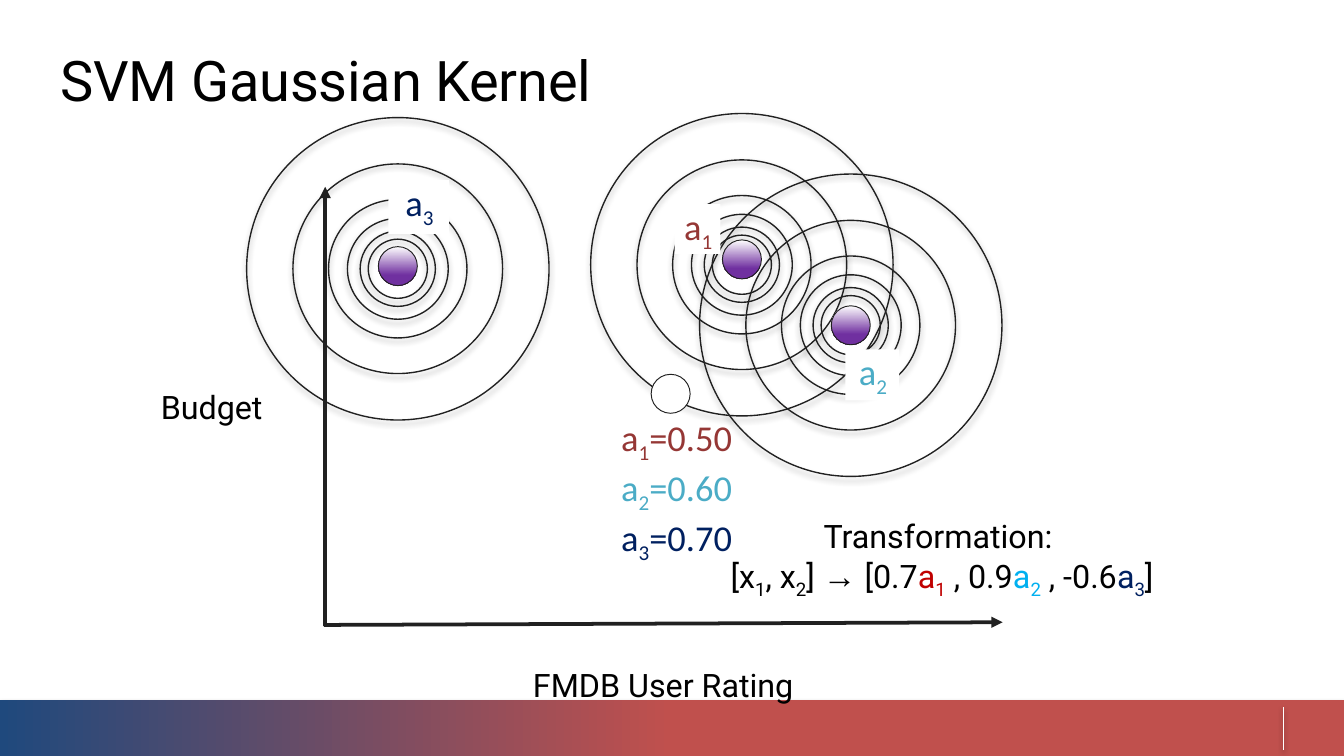
from lxml.etree import SubElement
from pptx import Presentation
from pptx.dml.color import RGBColor
from pptx.enum.shapes import MSO_CONNECTOR as Connector, MSO_SHAPE as Shape
from pptx.enum.text import MSO_ANCHOR as Anchor, PP_ALIGN as Align
from pptx.oxml.ns import qn
from pptx.util import Inches, Pt

BLACK, WHITE, INK, PURPLE = "000000", "FFFFFF", "212121", "7030A0"
RED, TEAL, NAVY = "953735", "4BACC6", "002060"
RING_SIZES = (0.44, 0.56, 0.75, 1.03, 1.56, 2.25)
ORB_SIZE = 0.29


def color(value):
    return RGBColor.from_string(value)


def set_shadow(shape, opacity=35):
    """Give a shape a soft shadow below it, or none when opacity is 0."""
    effects = shape._element.spPr.get_or_add_effectLst()
    if opacity:
        shadow = SubElement(effects, qn("a:outerShdw"), blurRad=str(Pt(3.1)),
                            dist=str(Pt(1.8)), dir="5400000", rotWithShape="0")
        tone = SubElement(shadow, qn("a:srgbClr"), val=BLACK)
        SubElement(tone, qn("a:alpha"), val=str(opacity * 1000))


def set_gradient(shape, start, end, end_position, angle):
    shape.fill.gradient()
    shape.fill.gradient_angle = angle
    for stop, value, position in zip(shape.fill.gradient_stops,
                                     (start, end), (0, end_position)):
        stop.color.rgb = color(value)
        stop.position = position


def set_solid(shape, value):
    shape.fill.solid()
    shape.fill.fore_color.rgb = color(value)


def add_circle(shapes, center, size, width):
    x, y = center
    circle = shapes.add_shape(Shape.OVAL, Inches(x - size / 2), Inches(y - size / 2),
                              Inches(size), Inches(size))
    circle.shadow.inherit = False
    circle.line.color.rgb = color(INK)
    circle.line.width = Pt(width)
    return circle


def add_rings(slide, center):
    group = slide.shapes.add_group_shape()
    for size in RING_SIZES:
        ring = add_circle(group.shapes, center, size, 0.75)
        ring.fill.background()
        set_shadow(ring)


def add_orb(slide, center):
    orb = add_circle(slide.shapes, center, ORB_SIZE, 0.5)
    set_gradient(orb, WHITE, PURPLE, 0.73, 270)


def add_line(slide, start, end, value, width, arrow=False, shadow=0):
    line = slide.shapes.add_connector(Connector.STRAIGHT,
                                      *map(Inches, start), *map(Inches, end))
    line.line.color.rgb = color(value)
    line.line.width = Pt(width)
    if arrow:
        SubElement(line.line._get_or_add_ln(), qn("a:tailEnd"), type="triangle")
    set_shadow(line, shadow)


def write_text(shape, lines, size, font, align=Align.CENTER, anchor=Anchor.TOP,
               spacing=None):
    """Write lines of (text, colour) runs; a "_" before a text makes it a subscript."""
    frame = shape.text_frame
    frame.word_wrap = True
    frame.vertical_anchor = anchor
    frame.margin_left = frame.margin_right = 0
    frame.margin_top = frame.margin_bottom = 0
    for index, line in enumerate(lines):
        paragraph = frame.add_paragraph() if index else frame.paragraphs[0]
        paragraph.alignment = align
        paragraph._p.get_or_add_pPr().set("marL", str(Inches(0.01)))
        if spacing:
            paragraph.line_spacing = Pt(spacing)
        for text, value in line:
            run = paragraph.add_run()
            run.text = text.removeprefix("_")
            run.font.size = Pt(size)
            run.font.name = font
            run.font.color.rgb = color(value)
            if text.startswith("_"):
                run.font._element.set("baseline", "-25000")
            if text == "→":
                run.font.size, run.font.name = Pt(18), "Arial"


def add_text(slide, box, lines, size=17.3, font="Roboto", **options):
    shape = slide.shapes.add_textbox(*map(Inches, box))
    write_text(shape, lines, size, font, **options)


def add_tag(slide, box, number, value):
    tag = slide.shapes.add_shape(Shape.RECTANGLE, *map(Inches, box))
    tag.shadow.inherit = False
    set_solid(tag, WHITE)
    tag.line.fill.background()
    write_text(tag, [[("a", value), ("_" + number, value)]], 19.5, "Calibri")


def add_footer(slide):
    band = slide.shapes.add_shape(Shape.RECTANGLE, *map(Inches, (0, 5.21, 10, 0.42)))
    band.line.fill.background()
    set_gradient(band, "1F497D", "C0504D", 0.5, 0)
    set_shadow(band)
    add_line(slide, (9.55, 5.26), (9.55, 5.58), WHITE, 0.75, shadow=38)


def add_title(slide, text):
    title = slide.shapes.title
    title.left, title.top, title.width, title.height = map(Inches, (0.44, 0.34, 9.23, 0.5))
    write_text(title, [[(text, BLACK)]], 30, "Roboto", align=Align.LEFT)
    title.text_frame.paragraphs[0].runs[0].font._element.set("spc", "-10")


def main():
    presentation = Presentation()
    # Widescreen, 16:9
    presentation.slide_width = Inches(10)
    presentation.slide_height = Inches(10) * 9 // 16
    slide = presentation.slides.add_slide(presentation.slide_layouts[5])
    add_footer(slide)
    add_title(slide, "SVM Gaussian Kernel")

    # Kernel contours around the three landmarks
    for center in ((2.96, 2), (5.52, 1.97), (6.33, 2.42)):
        add_rings(slide, center)

    # Axes
    add_text(slide, (3.12, 4.84, 3.62, 0.39), [[("FMDB User Rating", BLACK)]], spacing=28.5)
    add_text(slide, (1.16, 2.77, 0.82, 0.79), [[("Budget", BLACK)]], spacing=28.5)
    add_line(slide, (2.42, 4.66), (2.42, 1.39), INK, 2, arrow=True)
    add_line(slide, (2.41, 4.65), (7.46, 4.63), INK, 2, arrow=True)

    # Landmarks on the lower layer
    for center in ((6.33, 2.42), (2.96, 1.98)):
        add_orb(slide, center)

    # Similarity of the new point to each landmark
    similarities = (("1", "0.50", RED), ("2", "0.60", TEAL), ("3", "0.70", NAVY))
    add_text(slide, (4.53, 3.09, 1, 1.11),
             [[("a", value), ("_" + number, value), ("=" + score, value)]
              for number, score, value in similarities], 19.5, "Calibri")
    point = add_circle(slide.shapes, (4.99, 2.93), ORB_SIZE, 0.5)
    set_solid(point, WHITE)

    # Transformation
    formula = [("[x", BLACK), ("_1", BLACK), (", x", BLACK), ("_2", BLACK), ("] ", BLACK),
               ("→", BLACK), (" [0.7", BLACK), ("a", "C00000"), ("_1", "C00000"),
               (" , 0.9", BLACK), ("a", "00B0F0"), ("_2", "00B0F0"),
               (" , -0.6", BLACK), ("a", NAVY), ("_3", NAVY), ("]", BLACK)]
    add_text(slide, (5.27, 3.68, 3.47, 0.95), [[("Transformation: ", BLACK)], formula],
             anchor=Anchor.MIDDLE)

    # Landmark tags, and the landmark that lies above its tag
    add_tag(slide, (2.89, 1.34, 0.45, 0.4), "3", NAVY)
    add_tag(slide, (5.02, 1.52, 0.34, 0.37), "1", RED)
    add_tag(slide, (6.29, 2.6, 0.4, 0.38), "2", TEAL)
    add_orb(slide, (5.52, 1.93))

    presentation.save("out.pptx")


if __name__ == "__main__":
    main()
